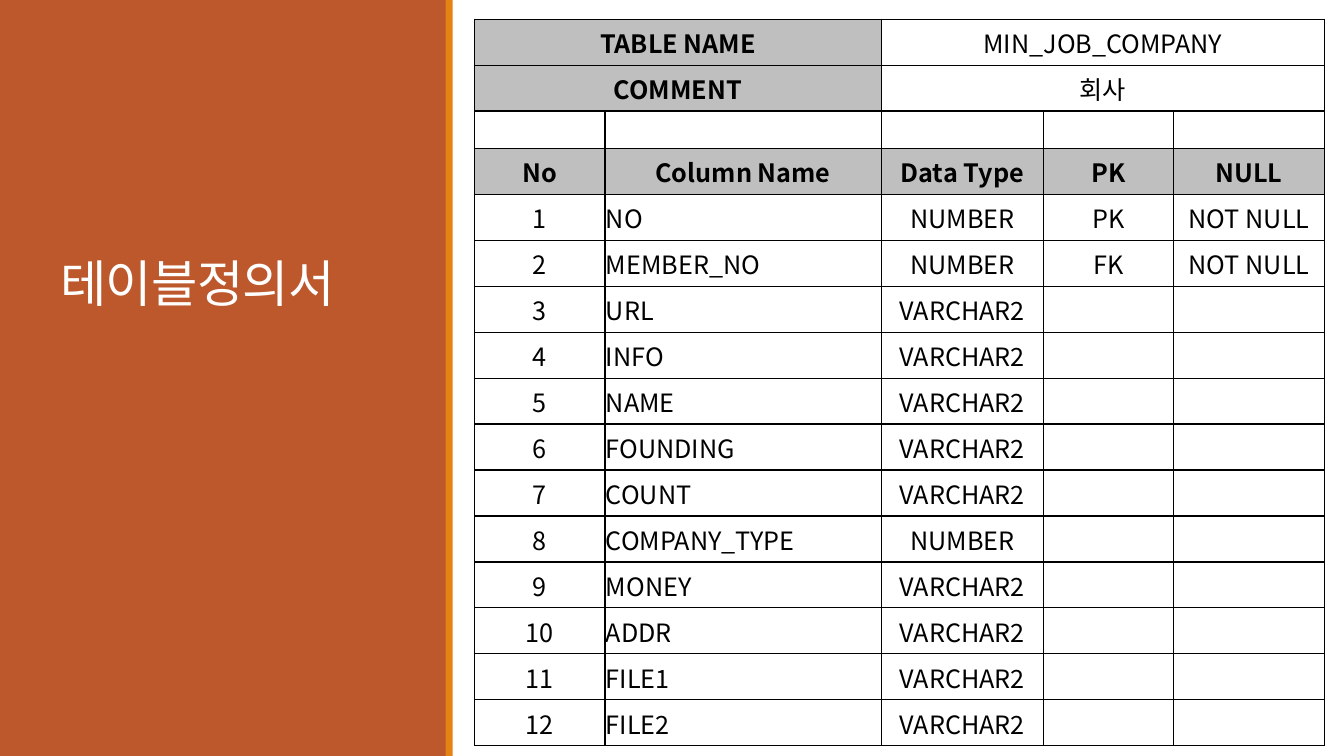
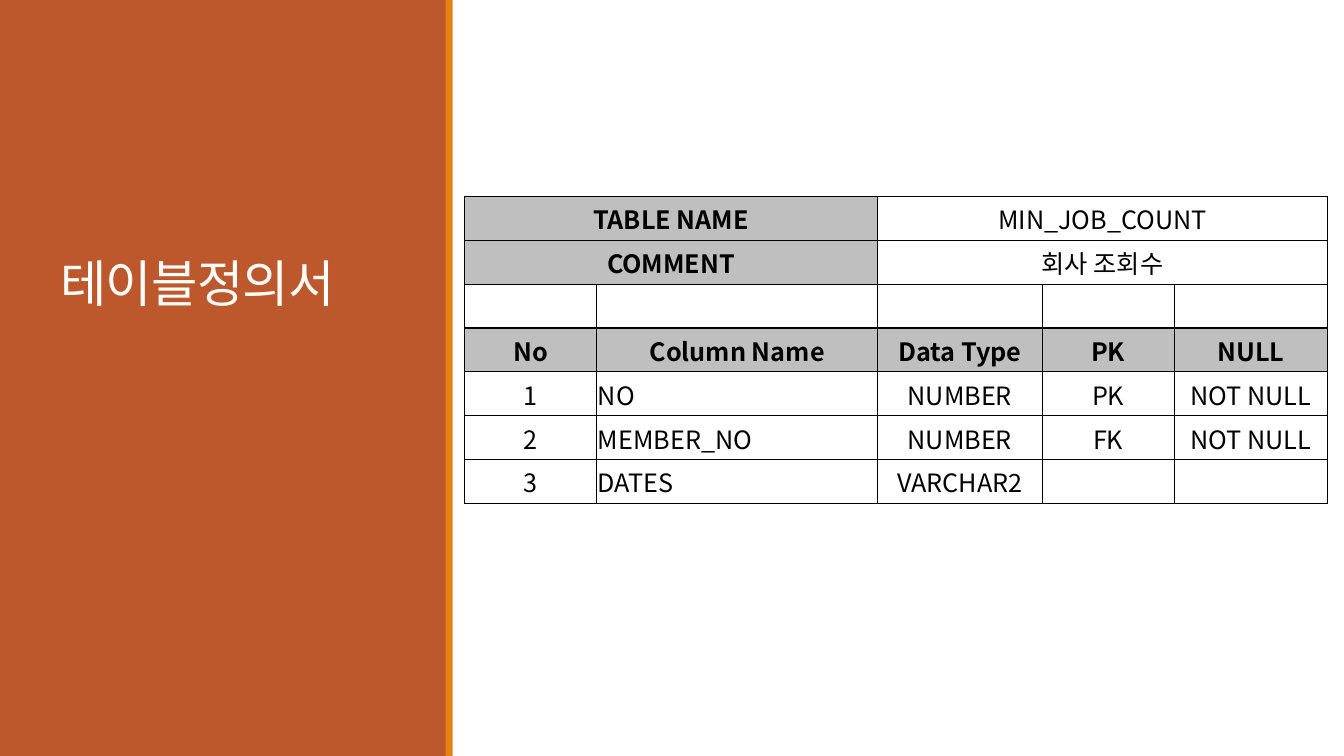
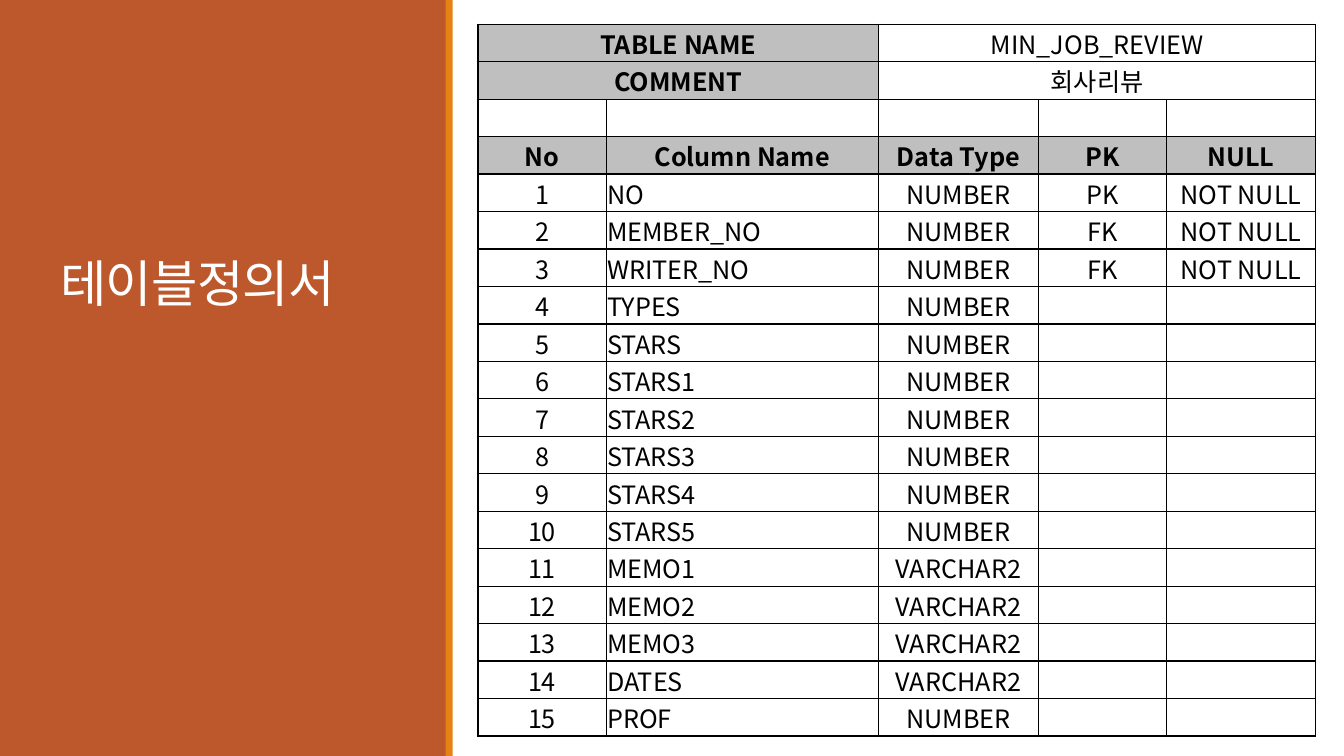
from lxml import etree
from pptx import Presentation
from pptx.dml.color import RGBColor
from pptx.enum import shapes, text
from pptx.oxml import ns
from pptx.util import Inches, Pt

RUST, ORANGE, GREY, WHITE, BLACK = "BD582C", "E48312", "BFBFBF", "FFFFFF", "000000"
TITLE_FONT, TABLE_FONT = "Calibri", "Noto Sans CJK KR"
CENTER, LEFT = text.PP_ALIGN.CENTER, text.PP_ALIGN.LEFT
COLUMN_SHARES = (1.29, 2.74, 1.61, 1.29, 1.5)
HEADINGS = ("No", "Column Name", "Data Type", "PK", "NULL")
GAP_ROW, HEADING_ROW = 2, 3
NUM, STR = "NUMBER", "VARCHAR2"
KEYS = [("NO", NUM, "PK"), ("MEMBER_NO", NUM, "FK")]

DEFINITIONS = [
    dict(name="MIN_JOB_COMPANY", comment="회사",
         left=4.71, top=0.19, width=8.43, row_height=0.456, gap_height=0.37,
         fields=KEYS + [("URL", STR, ""), ("INFO", STR, ""), ("NAME", STR, ""),
                        ("FOUNDING", STR, ""), ("COUNT", STR, ""),
                        ("COMPANY_TYPE", NUM, ""), ("MONEY", STR, ""),
                        ("ADDR", STR, ""), ("FILE1", STR, ""), ("FILE2", STR, "")]),
    dict(name="MIN_JOB_COUNT", comment="회사 조회수",
         left=4.61, top=1.95, width=8.56, row_height=0.435, gap_height=0.435,
         fields=KEYS + [("DATES", STR, "")]),
    dict(name="MIN_JOB_REVIEW", comment="회사리뷰",
         left=4.74, top=0.24, width=8.31, row_height=0.372, gap_height=0.372,
         fields=KEYS + [("WRITER_NO", NUM, "FK"), ("TYPES", NUM, ""), ("STARS", NUM, "")]
         + [(f"STARS{i}", NUM, "") for i in range(1, 6)]
         + [(f"MEMO{i}", STR, "") for i in range(1, 4)]
         + [("DATES", STR, ""), ("PROF", NUM, "")]),
]


def rgb(value):
    return RGBColor.from_string(value)


def write(frame, words, font, size, color, bold=False, align=LEFT, spacing=None, tracking=None):
    paragraph = frame.paragraphs[0]
    paragraph.alignment = align
    paragraph.line_spacing = spacing
    run = paragraph.add_run()
    run.text = words
    run.font.name, run.font.size, run.font.bold = font, Pt(size), bold
    run.font.color.rgb = rgb(color)
    properties = run.font._element
    etree.SubElement(properties, ns.qn("a:ea")).set("typeface", TABLE_FONT)
    if tracking is not None:
        properties.set("spc", str(round(tracking * 100)))


def add_band(slide, left, width, color):
    band = slide.shapes.add_shape(shapes.MSO_SHAPE.RECTANGLE, Inches(left), 0,
                                  Inches(width), Inches(7.5))
    band.shadow.inherit = False
    band.fill.solid()
    band.fill.fore_color.rgb = rgb(color)
    band.line.fill.background()


def add_side_panel(slide):
    add_band(slide, 0, 4.43, RUST)
    add_band(slide, 4.42, 0.07, ORANGE)
    title = slide.shapes.add_textbox(Inches(0.5), Inches(0.65), Inches(3.5), Inches(2.5))
    title.text_frame.word_wrap = True
    title.text_frame.vertical_anchor = text.MSO_ANCHOR.BOTTOM
    write(title.text_frame, "테이블정의서", TITLE_FONT, 36, WHITE, spacing=0.85, tracking=-0.5)


def set_borders(cell):
    properties = cell._tc.get_or_add_tcPr()
    for position, side in enumerate(("lnL", "lnR", "lnT", "lnB")):
        line = etree.Element(ns.qn(f"a:{side}"), w=str(Pt(1)))
        fill = etree.SubElement(line, ns.qn("a:solidFill"))
        etree.SubElement(fill, ns.qn("a:srgbClr"), val=BLACK)
        properties.insert(position, line)


def fill_cell(cell, words, heading, align):
    cell.margin_left = cell.margin_right = cell.margin_top = Inches(0.01)
    cell.margin_bottom = 0
    cell.vertical_anchor = text.MSO_ANCHOR.MIDDLE
    cell.fill.solid()
    cell.fill.fore_color.rgb = rgb(GREY if heading else WHITE)
    set_borders(cell)
    if words:
        write(cell.text_frame, words, TABLE_FONT, 18, BLACK, bold=heading, align=align)


def add_definition(slide, name, comment, left, top, width, row_height, gap_height, fields):
    rows = [("TABLE NAME", "", name, "", ""), ("COMMENT", "", comment, "", ""),
            ("",) * len(HEADINGS), HEADINGS]
    rows += [(str(number), field, kind, key, "NOT NULL" if key else "")
             for number, (field, kind, key) in enumerate(fields, 1)]
    heights = [gap_height if r == GAP_ROW else row_height for r in range(len(rows))]
    table = slide.shapes.add_table(len(rows), len(HEADINGS), Inches(left), Inches(top),
                                   Inches(width), Inches(sum(heights))).table
    table.first_row = table.horz_banding = False
    for column, share in zip(table.columns, COLUMN_SHARES):
        column.width = Inches(width * share / sum(COLUMN_SHARES))
    for r, (row, height) in enumerate(zip(rows, heights)):
        table.rows[r].height = Inches(height)
        for c, words in enumerate(row):
            heading = r == HEADING_ROW or (r < GAP_ROW and c < 2)
            align = LEFT if r > HEADING_ROW and c == 1 else CENTER
            fill_cell(table.cell(r, c), words, heading, align)
    for r in range(GAP_ROW):
        table.cell(r, 0).merge(table.cell(r, 1))
        table.cell(r, 2).merge(table.cell(r, 4))


def main():
    deck = Presentation()
    deck.slide_width, deck.slide_height = Inches(13.33), Inches(7.5)
    for definition in DEFINITIONS:
        slide = deck.slides.add_slide(deck.slide_layouts[6])
        add_side_panel(slide)
        add_definition(slide, **definition)
    deck.save("out.pptx")


if __name__ == "__main__":
    main()
